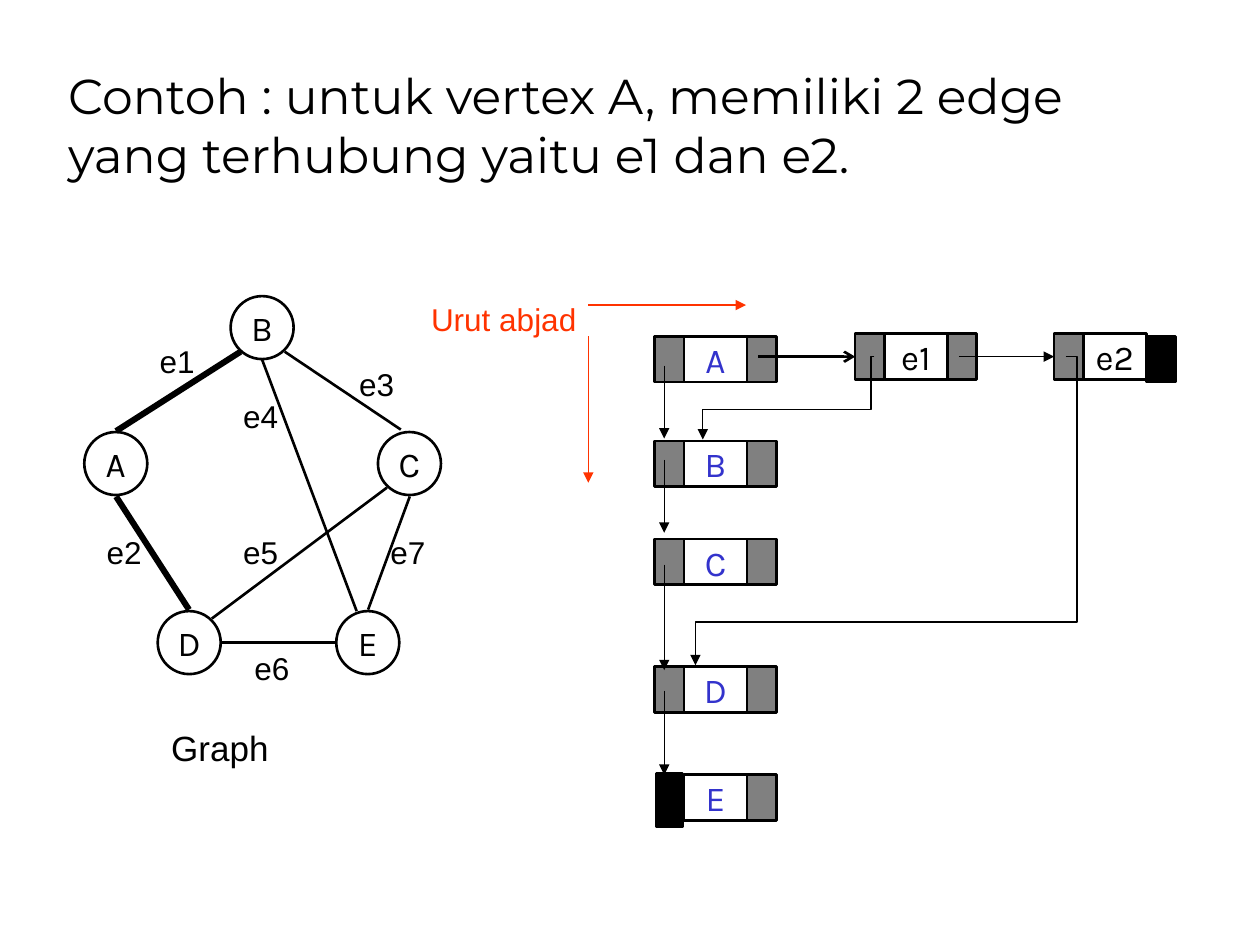
from lxml.etree import SubElement
from pptx import Presentation
from pptx.dml.color import RGBColor
from pptx.enum.shapes import MSO_CONNECTOR, MSO_SHAPE
from pptx.enum.text import MSO_ANCHOR, MSO_AUTO_SIZE, PP_ALIGN
from pptx.oxml.ns import qn
from pptx.util import Cm, Pt

COLORS = {"black": "000000", "gray": "808080", "blue": "3333CC", "red": "FF3300"}

CIRCLE = 1.27
CELL_WIDTH, CELL_HEIGHT, POINTER_WIDTH = 1.27, 0.92, 0.59
LIST_X = 13.79
EDGE_Y = 6.73

# Vertex circles: left, top
VERTICES = {"B": (4.65, 5.97), "A": (1.7, 8.71), "C": (7.62, 8.71),
            "D": (3.18, 12.32), "E": (6.78, 12.32)}

# Edges: start, end, line width, label position
EDGES = {
    "e1": ((4.85, 7.09), (2.34, 8.69), 3.5, (2.97, 6.78)),
    "e2": ((2.34, 10.01), (3.81, 12.29), 3.5, (1.9, 10.62)),
    "e3": ((5.74, 7.09), (8.08, 8.66), 1.5, (6.99, 7.24)),
    "e4": ((7.19, 12.32), (5.28, 7.24), 1.5, (4.65, 7.87)),
    "e5": ((4.27, 12.47), (7.8, 9.83), 1.5, (4.65, 10.62)),
    "e6": ((4.47, 12.95), (6.76, 12.95), 1.5, (4.88, 12.95)),
    "e7": ((8.26, 10.01), (7.42, 12.29), 1.5, (7.62, 10.62)),
}

# Tops of the vertex records, and start and end of the links between them
RECORD_TOPS = {"A": 6.78, "B": 8.89, "C": 10.87, "D": 13.44, "E": 15.62}
LINKS = [(7.37, 8.84), (9.27, 10.74), (11.38, 13.51), (13.92, 15.62)]


def rgb(name):
    return RGBColor.from_string(COLORS[name])


def write(frame, text, size=18, font="Arial", color="black",
          align=PP_ALIGN.LEFT, anchor=MSO_ANCHOR.TOP, wrap=True):
    frame.auto_size = MSO_AUTO_SIZE.NONE
    frame.word_wrap = wrap
    frame.vertical_anchor = anchor
    para = frame.paragraphs[0]
    para.alignment = align
    span = para.add_run()
    span.text = text
    span.font.size = Pt(size)
    span.font.name = font
    span.font.color.rgb = rgb(color)


def add_label(page, text, left, top, width, height=1.02, **style):
    box = page.shapes.add_textbox(Cm(left), Cm(top), Cm(width), Cm(height))
    write(box.text_frame, text, **style)


def add_box(page, kind, left, top, width, height, fill=None, text=None, color="black"):
    box = page.shapes.add_shape(kind, Cm(left), Cm(top), Cm(width), Cm(height))
    box.shadow.inherit = False
    box.line.color.rgb = rgb("black")
    box.line.width = Pt(1.5)
    if fill:
        box.fill.solid()
        box.fill.fore_color.rgb = rgb(fill)
    else:
        box.fill.background()
    if text:
        write(box.text_frame, text, size=20, font="Karla", color=color,
              align=PP_ALIGN.CENTER, anchor=MSO_ANCHOR.MIDDLE, wrap=False)
    return box


def add_line(page, start, end, width=0.75, color="black", head=None,
             kind=MSO_CONNECTOR.STRAIGHT):
    line = page.shapes.add_connector(kind, *(Cm(v) for v in (*start, *end)))
    line.line.color.rgb = rgb(color)
    line.line.width = Pt(width)
    if head:
        SubElement(line.line._get_or_add_ln(), qn("a:tailEnd"), type=head)
    SubElement(line._element.spPr, qn("a:effectLst"))
    return line


def add_elbow(page, start, end, bends):
    """Four-part elbow: bends are fractions of its width and height."""
    line = add_line(page, start, end, head="triangle", kind=MSO_CONNECTOR.ELBOW)
    geometry = line._element.spPr.find(qn("a:prstGeom"))
    geometry.set("prst", "bentConnector4")
    guides = geometry.find(qn("a:avLst"))
    if guides is None:
        guides = SubElement(geometry, qn("a:avLst"))
    for number, bend in enumerate(bends, 1):
        SubElement(guides, qn("a:gd"), name=f"adj{number}",
                   fmla=f"val {round(bend * 100000)}")


def add_pointer(page, left, top, fill="gray", width=POINTER_WIDTH, height=CELL_HEIGHT):
    return add_box(page, MSO_SHAPE.RECTANGLE, left, top, width, height, fill)


def add_cell(page, text, left, top, color):
    add_box(page, MSO_SHAPE.RECTANGLE, left, top, CELL_WIDTH, CELL_HEIGHT,
            text=text, color=color)


def add_graph(page):
    for name, (left, top) in VERTICES.items():
        add_box(page, MSO_SHAPE.OVAL, left, top, CIRCLE, CIRCLE, text=name)
    for name, (start, end, width, place) in EDGES.items():
        add_line(page, start, end, width)
        add_label(page, name, *place, 1.27)
    add_label(page, "Graph", 2.11, 14.53, 4.65, 1.12, size=20, align=PP_ALIGN.CENTER)


def add_vertex_records(page):
    for name, top in RECORD_TOPS.items():
        add_cell(page, name, LIST_X, top, "blue")
        add_pointer(page, LIST_X + CELL_WIDTH, top)
        if name == "E":  # end of the list
            add_pointer(page, 13.23, 15.6, "black", 0.53, 1.07)
        else:
            add_pointer(page, LIST_X - POINTER_WIDTH, top)
    for start, end in LINKS:
        add_line(page, (13.39, start), (13.39, end), head="triangle")


def add_edge_records(page):
    first_x, second_x = 17.83, 21.84
    middle = EDGE_Y + CELL_HEIGHT / 2
    pointers = {}
    for name, left in (("e1", first_x), ("e2", second_x)):
        add_cell(page, name, left, EDGE_Y, "black")
        pointers[name] = add_pointer(page, left - POINTER_WIDTH, EDGE_Y)
    add_pointer(page, first_x + CELL_WIDTH, EDGE_Y)
    add_pointer(page, second_x + CELL_WIDTH, 6.78, "black")

    # Links along the row
    for name, start, width, head in (("e1", 15.29, 1.5, "arrow"),
                                     ("e2", 19.33, 0.75, "triangle")):
        end = pointers[name].left.cm
        link = add_line(page, (start, middle), (end, middle), width, head=head)
        link.end_connect(pointers[name], 1)

    # Links back to the vertices B and D
    add_elbow(page, (17.63, 7.19), (14.17, 8.86), (0.02, 0.64))
    add_elbow(page, (21.49, 7.19), (14.02, 13.41), (-0.03, 0.86))


def add_sort_order(page):
    add_label(page, "Urut abjad", 8.26, 5.92, 3.61, color="red", align=PP_ALIGN.RIGHT)
    add_line(page, (11.86, 6.15), (15.04, 6.15), color="red", head="triangle")
    add_line(page, (11.86, 6.78), (11.86, 9.73), color="red", head="triangle")


def main():
    deck = Presentation()
    deck.slide_width, deck.slide_height = Cm(25.4), Cm(19.05)
    page = deck.slides.add_slide(deck.slide_layouts[5])

    # Title
    title = page.shapes.title
    title.left, title.top, title.width, title.height = (
        Cm(v) for v in (1.12, 0.64, 21.59, 3.18))
    write(title.text_frame,
          "Contoh : untuk vertex A, memiliki 2 edge yang terhubung yaitu e1 dan e2.",
          size=28, font="Montserrat", anchor=MSO_ANCHOR.BOTTOM)

    # Graph on the left, linked records on the right
    add_graph(page)
    add_vertex_records(page)
    add_edge_records(page)
    add_sort_order(page)
    deck.save("out.pptx")


if __name__ == "__main__":
    main()
